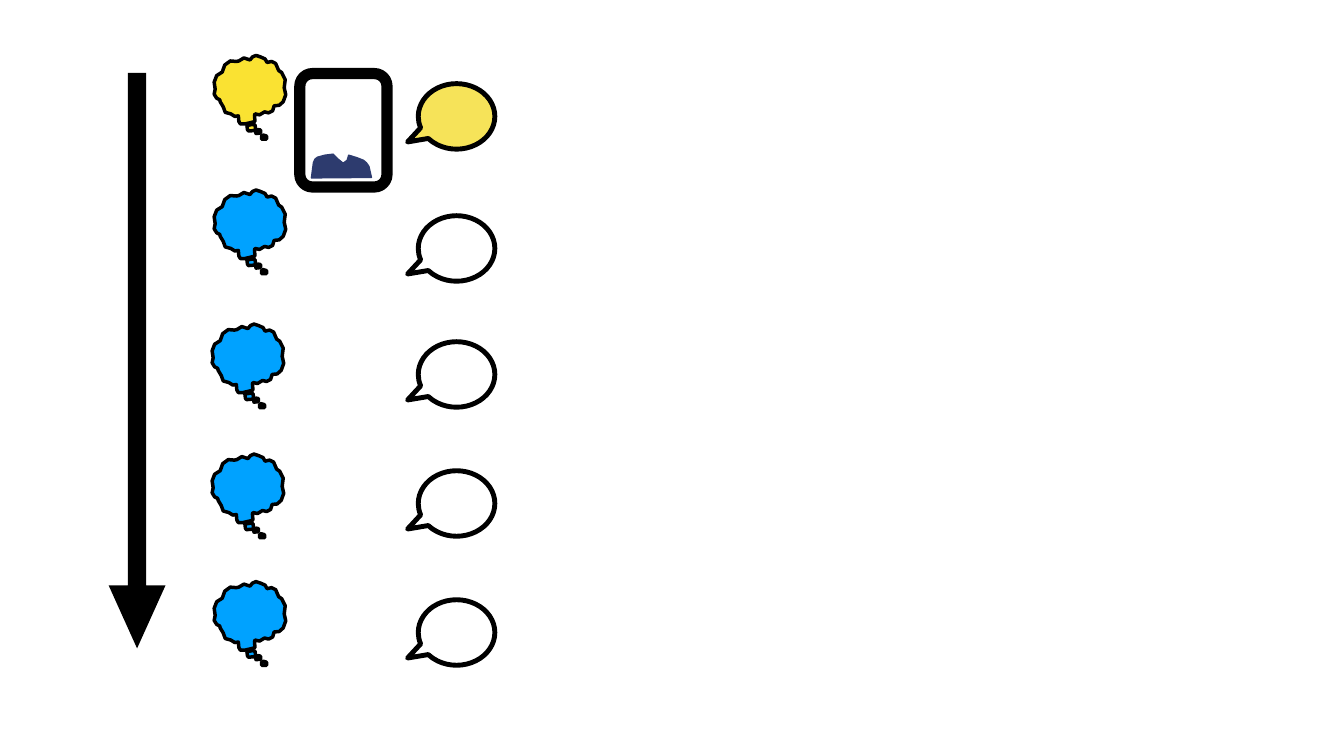
from pptx import Presentation
from pptx.dml.color import RGBColor
from pptx.enum.shapes import MSO_SHAPE as Preset
from pptx.util import Inches, Pt

BLACK, WHITE, BLUE = "000000", "FFFFFF", "00A2FF"

# One row per stage: thought left, thought top, speech top (inches),
# thought colour, speech colour
STAGES = [
    (4.25, 1.10, 1.66, "FAE232", "F6E359"),
    (4.25, 3.77, 4.28, BLUE, WHITE),
    (4.21, 6.43, 6.78, BLUE, WHITE),
    (4.21, 9.01, 9.34, BLUE, WHITE),
    (4.25, 11.54, 11.90, BLUE, WHITE),
]

# Outline points in hundredths of an inch
CLOUD = [
    (83, 0), (92, 3), (101, 7), (105, 14), (114, 12), (122, 16), (128, 30), (134, 34),
    (141, 48), (139, 64), (142, 78), (137, 92), (129, 99), (119, 100), (116, 110),
    (108, 114), (100, 112), (90, 118), (81, 116), (80, 119), (81, 131), (74, 133),
    (61, 136), (52, 136), (49, 131), (48, 120), (41, 121), (33, 116), (22, 113),
    (18, 102), (12, 92), (11, 88), (5, 85), (0, 77), (2, 67), (0, 53), (5, 40),
    (16, 33), (21, 19), (32, 11), (44, 12), (49, 11), (59, 5), (71, 9), (76, 3),
]
PUFFS = [
    [(76, 137), (81, 138), (82, 144), (81, 149), (68, 150), (66, 147), (65, 139)],
    [(87, 147), (92, 148), (92, 154), (83, 155), (83, 149)],
    [(97, 158), (104, 160), (104, 166), (94, 166), (94, 160)],
]
SHIRT = [
    (119, 46), (114, 24), (109, 17), (103, 12), (90, 7), (74, 2), (71, 12), (63, 18),
    (53, 10), (43, 0), (27, 2), (12, 6), (7, 10), (4, 17), (0, 47),
]


def rgb(hex_colour):
    return RGBColor.from_string(hex_colour)


def style(shape, fill=None, line=None, width=0):
    shape.shadow.inherit = False
    if fill:
        shape.fill.solid()
        shape.fill.fore_color.rgb = rgb(fill)
    else:
        shape.fill.background()
    if line:
        shape.line.color.rgb = rgb(line)
        shape.line.width = Pt(width)
    else:
        shape.line.fill.background()
    return shape


def add_outline(shapes, left, top, outlines, **look):
    first, *others = outlines
    builder = shapes.build_freeform(*first[0], scale=Inches(0.01))
    builder.add_line_segments(first[1:], close=True)
    for contour in others:
        builder.move_to(*contour[0])
        builder.add_line_segments(contour[1:], close=True)
    return style(builder.convert_to_shape(Inches(left), Inches(top)), **look)


def add_preset(shapes, preset, box, adjust, **look):
    shape = shapes.add_shape(preset, *map(Inches, box))
    for index, value in enumerate(adjust):
        shape.adjustments[index] = value
    return style(shape, **look)


def add_speech(shapes, top, fill):
    add_preset(shapes, Preset.OVAL_CALLOUT, (8.3, top, 1.52, 1.3), (-0.64, 0.39),
               fill=fill, line=BLACK, width=7)


def main():
    deck = Presentation()
    deck.slide_width, deck.slide_height = Inches(26.67), Inches(15)
    shapes = deck.slides.add_slide(deck.slide_layouts[6]).shapes

    # Shirt and thought bubbles
    add_outline(shapes, 6.18, 3.06, [SHIRT], fill="2D3B6E", line="2D3B6F", width=2)
    for left, top, _, colour, _ in STAGES:
        add_outline(shapes, left, top, [CLOUD, *PUFFS], fill=colour, line=BLACK, width=5)

    # Time arrow, turned to point down
    time_arrow = add_preset(shapes, Preset.RIGHT_ARROW, (-2.99, 6.59, 11.42, 1.13),
                            (0.32, 1.108), fill=BLACK)
    time_arrow.rotation = 90

    # Speech bubbles: the later ones form a group, the first stands alone
    later_speech = shapes.add_group_shape().shapes
    for _, _, top, _, colour in reversed(STAGES[1:]):
        add_speech(later_speech, top, colour)
    add_speech(shapes, STAGES[0][2], STAGES[0][4])

    # Portrait frame
    add_preset(shapes, Preset.ROUNDED_RECTANGLE, (5.95, 1.46, 1.73, 2.25), (0.144,),
               line=BLACK, width=16)

    deck.save("out.pptx")


if __name__ == "__main__":
    main()
